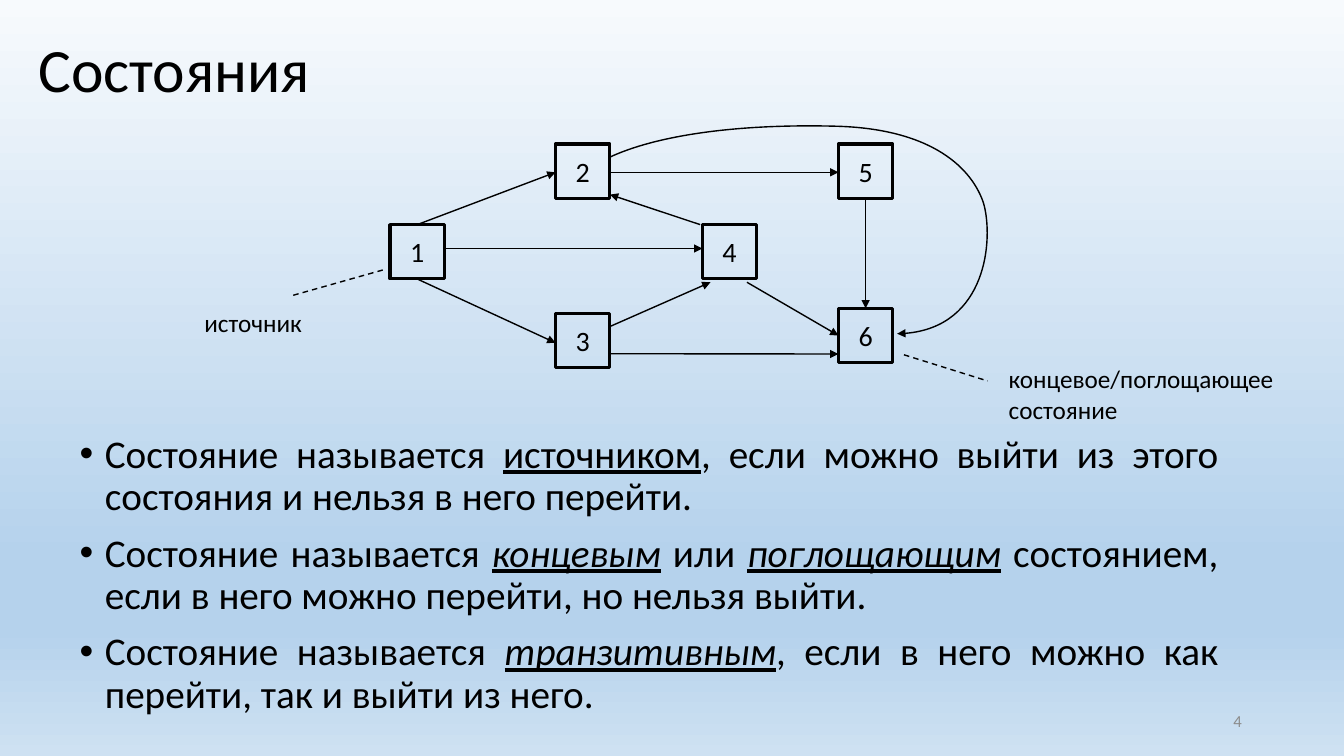
from copy import deepcopy
from dataclasses import dataclass

from lxml.etree import SubElement
from pptx import Presentation
from pptx.dml.color import RGBColor
from pptx.enum.dml import MSO_LINE
from pptx.enum.shapes import MSO_CONNECTOR, MSO_SHAPE
from pptx.enum.text import MSO_ANCHOR, MSO_AUTO_SIZE, PP_ALIGN
from pptx.oxml.ns import qn
from pptx.util import Cm, Pt


@dataclass(frozen=True)
class Theme:
    font: str = "Calibri"
    ink: RGBColor = RGBColor.from_string("000000")
    muted: RGBColor = RGBColor.from_string("8C8C8C")
    background: tuple = ((0, "F7FAFD"), (0.74, "B5D2EC"), (0.83, "B5D2EC"), (1, "CEE1F2"))
    title: int = 44
    body: int = 28
    state: int = 20
    label: int = 18
    page_number: int = 12
    border: float = 2.25
    thin: float = 1


theme = Theme()


def add_text(paragraph, text, size, color=theme.ink, align=PP_ALIGN.LEFT, italic=False, underline=False):
    paragraph.alignment = align
    run = paragraph.add_run()
    run.text = text
    run.font.name = theme.font
    run.font.size = Pt(size)
    run.font.color.rgb = color
    run.font.italic = italic
    run.font.underline = underline


def format_line(shape, width=theme.thin, dashed=False, arrow=False):
    """Style the outline, with an optional arrowhead at its end, and remove the shadow."""
    shape.line.color.rgb = theme.ink
    shape.line.width = Pt(width)
    if dashed:
        shape.line.dash_style = MSO_LINE.DASH
    properties = shape.element.spPr
    if arrow:
        SubElement(properties.find(qn("a:ln")), qn("a:tailEnd"), type="triangle")
    SubElement(properties, qn("a:effectLst"))


presentation = Presentation()
presentation.slide_width = Cm(33.87)
presentation.slide_height = Cm(19.05)
slide = presentation.slides.add_slide(presentation.slide_layouts[1])
shapes = slide.shapes

# Background
background_fill = slide.background.fill
background_fill.gradient()
background_fill.gradient_angle = 270
stop_list = slide.element.find(".//" + qn("a:gsLst"))
while len(stop_list) < len(theme.background):
    stop_list.append(deepcopy(stop_list[0]))
for stop, (position, color) in zip(background_fill.gradient_stops, theme.background):
    stop.position = position
    stop.color.rgb = RGBColor.from_string(color)

# Title and definitions
title, body = shapes.title, shapes.placeholders[1]
for placeholder, (left, top, width, height), anchor in (
    (title, (0.71, 0, 32.46, 3.68), MSO_ANCHOR.MIDDLE),
    (body, (1.75, 10.82, 29.21, 7.5), MSO_ANCHOR.TOP),
):
    placeholder.left, placeholder.top = Cm(left), Cm(top)
    placeholder.width, placeholder.height = Cm(width), Cm(height)
    placeholder.text_frame.vertical_anchor = anchor
    placeholder.text_frame.auto_size = MSO_AUTO_SIZE.NONE

title_paragraph = title.text_frame.paragraphs[0]
title_paragraph.line_spacing = 0.9
add_text(title_paragraph, "Состояния", theme.title)

term = {"underline": True}
italic_term = {"underline": True, "italic": True}
definitions = (
    (("источником", term),
     (", если можно выйти из этого состояния и нельзя в него перейти.", {})),
    (("концевым", italic_term), (" или ", {}), ("поглощающим", italic_term),
     (" состоянием, если в него можно перейти, но нельзя выйти.", {})),
    (("транзитивным", italic_term),
     (", если в него можно как перейти, так и выйти из него.", {})),
)
for number, definition in enumerate(definitions):
    paragraph = body.text_frame.paragraphs[0] if number == 0 else body.text_frame.add_paragraph()
    paragraph.line_spacing = 0.9
    paragraph.space_before = Pt(10 if number else 0)
    paragraph_properties = paragraph._p.get_or_add_pPr()
    paragraph_properties.set("marL", str(Cm(0.64)))
    paragraph_properties.set("indent", str(-Cm(0.64)))
    for text, style in (("Состояние называется ", {}), *definition):
        add_text(paragraph, text, theme.body, align=PP_ALIGN.JUSTIFY, **style)

# States of the graph: left and top corner
side = 1.37
states = {
    1: (9.83, 5.66),
    2: (14, 3.63),
    3: (14, 7.9),
    4: (17.7, 5.66),
    5: (21.13, 3.63),
    6: (21.13, 7.77),
}
for name, (left, top) in states.items():
    state = shapes.add_shape(MSO_SHAPE.RECTANGLE, Cm(left), Cm(top), Cm(side), Cm(side))
    state.fill.background()
    format_line(state, theme.border)
    frame = state.text_frame
    frame.margin_left = frame.margin_right = frame.margin_top = frame.margin_bottom = 0
    frame.vertical_anchor = MSO_ANCHOR.MIDDLE
    add_text(frame.paragraphs[0], str(name), theme.state, align=PP_ALIGN.CENTER)

# Transitions: each end is a state and a point as fractions of its square
transitions = (
    ((1, 0.5, 0), (2, 0, 0.52)),
    ((1, 1, 0.44), (4, 0, 0.44)),
    ((1, 0.5, 1), (3, 0, 0.54)),
    ((2, 1, 0.52), (5, 0, 0.52)),
    ((3, 1, 0.24), (4, 0.15, 1.06)),
    ((3, 1, 0.74), (6, 0, 0.84)),
    ((4, -0.04, 0), (2, 1, 0.93)),
    ((4, 0.82, 1.06), (6, 0, 0.5)),
    ((5, 0.5, 1), (6, 0.5, 0)),
)
for ends in transitions:
    points = []
    for name, across, down in ends:
        left, top = states[name]
        points += [Cm(left + across * side), Cm(top + down * side)]
    arrow = shapes.add_connector(MSO_CONNECTOR.STRAIGHT, *points)
    format_line(arrow, arrow=True)

# Curved transition from 2 to 6: a start, then three Bézier points per segment
curve_points = [(Cm(x), Cm(y)) for x, y in (
    (15.37, 3.96),
    (16.51, 3.43), (18.47, 3.12), (21.01, 3.18),
    (23.52, 3.23), (24.51, 4.27), (24.79, 5.13),
    (25.04, 6.02), (24.87, 8.38), (22.61, 8.41),
)]
builder = shapes.build_freeform(*curve_points[0])
builder.add_line_segments(curve_points[1:], close=False)
curve = builder.convert_to_shape()
curve.fill.background()
format_line(curve, arrow=True)
outline = curve.element.find(".//" + qn("a:path"))
straight_segments = outline.findall(qn("a:lnTo"))
for first in range(0, len(straight_segments), 3):
    bezier = SubElement(outline, qn("a:cubicBezTo"))
    for segment in straight_segments[first:first + 3]:
        bezier.append(segment[0])
        outline.remove(segment)

# Callouts
for ends in ((7.39, 7.44, 9.73, 6.78), (22.78, 8.94, 24.89, 9.6)):
    leader = shapes.add_connector(MSO_CONNECTOR.STRAIGHT, *map(Cm, ends))
    format_line(leader, dashed=True)

# Labels and page number
for text, box, size, color, align, anchor in (
    ("источник", (4.9, 7.62, 4.29, 1.02), theme.label, theme.ink, PP_ALIGN.LEFT, MSO_ANCHOR.TOP),
    ("концевое/поглощающее состояние", (25.17, 9.04, 7.65, 1.8),
     theme.label, theme.ink, PP_ALIGN.LEFT, MSO_ANCHOR.TOP),
    ("4", (23.93, 17.65, 7.62, 1.02), theme.page_number, theme.muted, PP_ALIGN.RIGHT, MSO_ANCHOR.MIDDLE),
):
    label = shapes.add_textbox(*map(Cm, box))
    label.text_frame.word_wrap = True
    label.text_frame.vertical_anchor = anchor
    add_text(label.text_frame.paragraphs[0], text, size, color, align)

presentation.save("out.pptx")
